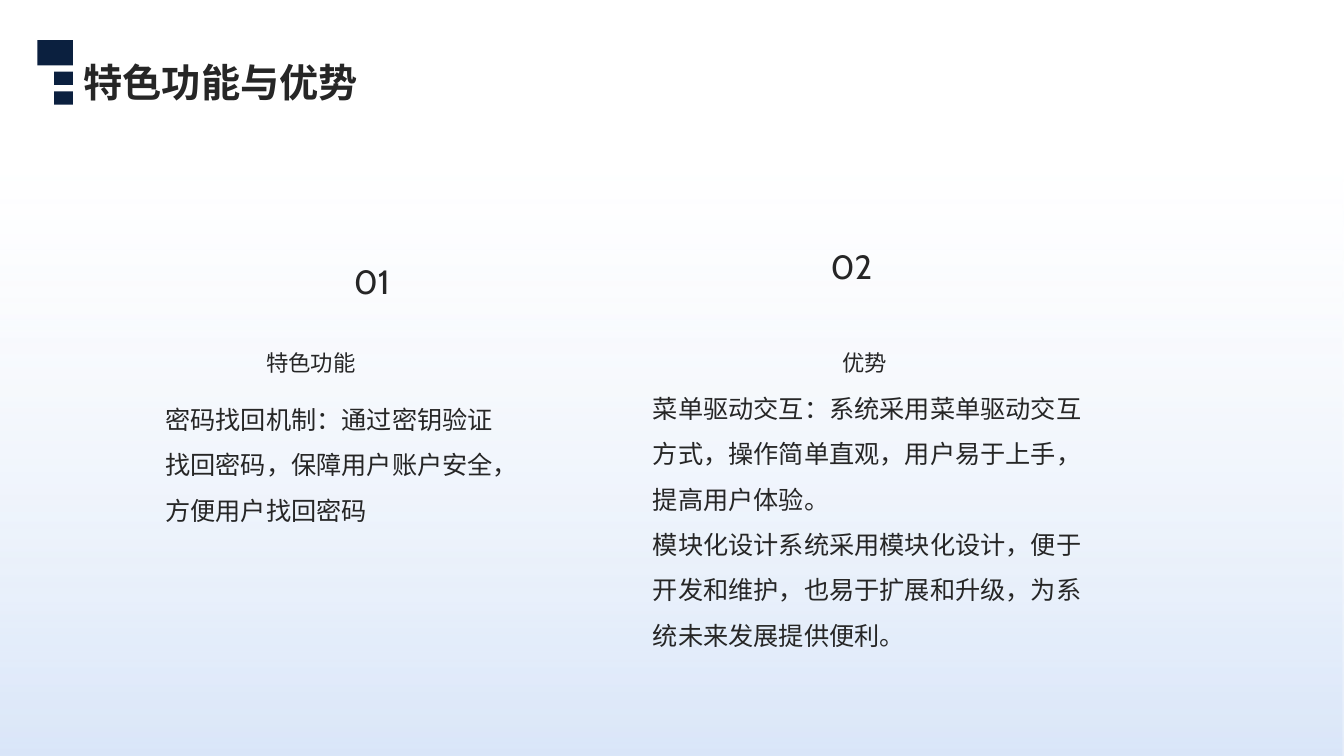
from dataclasses import dataclass

from lxml.etree import SubElement
from pptx import Presentation
from pptx.dml.color import RGBColor
from pptx.enum.shapes import MSO_SHAPE
from pptx.enum.text import MSO_ANCHOR, MSO_AUTO_SIZE, PP_ALIGN
from pptx.oxml import parse_xml
from pptx.oxml.ns import nsdecls, qn
from pptx.shapes.autoshape import Shape
from pptx.slide import Slide
from pptx.util import Pt


@dataclass(frozen=True)
class Theme:
    text: RGBColor = RGBColor(0x26, 0x26, 0x26)
    accent: RGBColor = RGBColor(0x0B, 0x20, 0x3F)
    fade_top: str = "DAE6F9"
    fade_bottom: str = "A2C1EF"
    text_font: str = "Noto Sans CJK SC"
    number_font: str = "Cabin"
    title_size: int = 28
    number_size: int = 24
    heading_size: int = 16
    body_size: int = 18


@dataclass(frozen=True)
class Box:
    left: float
    top: float
    width: float
    height: float


@dataclass(frozen=True)
class TextStyle:
    size: int
    font: str
    bold: bool = False
    spacing: float = 1.0
    align: PP_ALIGN = PP_ALIGN.LEFT
    anchor: MSO_ANCHOR = MSO_ANCHOR.MIDDLE


@dataclass(frozen=True)
class Column:
    number: str
    number_box: Box
    heading: str
    heading_box: Box
    heading_align: PP_ALIGN
    body: tuple[str, ...]
    body_box: Box
    heading_idx: int
    body_idx: int


THEME = Theme()
SLIDE = Box(0, 0, 960, 540)
TITLE = "特色功能与优势"
TITLE_BOX = Box(59.8, 38.2, 855.4, 36.7)
MARK_RIGHT = 52
MARK_BLOCKS = (  # top, width, height; all share the right edge
    (28.6, 25.3, 18.2),
    (51.1, 13.4, 9.5),
    (65.3, 13.4, 9.5),
)
COLUMNS = (
    Column(
        "01", Box(252.7, 167.8, 109.4, 65.5),
        "特色功能", Box(190.1, 238.3, 172.1, 41.8), PP_ALIGN.LEFT,
        ("密码找回机制：通过密钥验证找回密码，保障用户账户安全，方便用户找回密码",),
        Box(118.1, 277.9, 236.9, 110.2), 1, 2,
    ),
    Column(
        "02", Box(593.3, 157, 109.4, 65.5),
        "优势", Box(531.4, 238.3, 172.1, 41.8), PP_ALIGN.CENTER,
        (
            "菜单驱动交互：系统采用菜单驱动交互方式，操作简单直观，用户易于上手，提高用户体验。",
            "模块化设计系统采用模块化设计，便于开发和维护，也易于扩展和升级，为系统未来发展提供便利。",
        ),
        Box(466.3, 270, 313.2, 223.2), 3, 4,
    ),
)


def set_all(target: object, values: dict[str, object]) -> None:
    for key, value in values.items():
        setattr(target, key, value)


def lengths(box: Box) -> tuple[Pt, Pt, Pt, Pt]:
    return Pt(box.left), Pt(box.top), Pt(box.width), Pt(box.height)


def write_text(shape: Shape, box: Box, lines: tuple[str, ...], style: TextStyle) -> None:
    """Place the shape and fill it with unbulleted, zero-inset paragraphs."""
    set_all(shape, dict(zip(("left", "top", "width", "height"), lengths(box))))
    frame = shape.text_frame
    set_all(frame, {
        "word_wrap": True,
        "auto_size": MSO_AUTO_SIZE.NONE,
        "vertical_anchor": style.anchor,
        "margin_left": 0,
        "margin_top": 0,
        "margin_right": 0,
        "margin_bottom": 0,
    })
    for index, line in enumerate(lines):
        paragraph = frame.add_paragraph() if index else frame.paragraphs[0]
        set_all(paragraph, {
            "alignment": style.align,
            "line_spacing": style.spacing,
            "space_before": Pt(0),
            "space_after": Pt(0),
        })
        properties = paragraph._p.get_or_add_pPr()
        properties.set("marL", "0")
        properties.set("indent", "0")
        SubElement(properties, qn("a:buNone"))
        run = paragraph.add_run()
        run.text = line
        set_all(run.font, {"size": Pt(style.size), "name": style.font, "bold": style.bold})
        run.font.color.rgb = THEME.text
        SubElement(run._r.get_or_add_rPr(), qn("a:ea")).set("typeface", style.font)


def add_block(slide: Slide, box: Box) -> Shape:
    block = slide.shapes.add_shape(MSO_SHAPE.RECTANGLE, *lengths(box))
    block.shadow.inherit = False
    block.line.fill.background()
    block.fill.solid()
    block.fill.fore_color.rgb = THEME.accent
    return block


def add_backdrop(slide: Slide) -> None:
    """Cover the slide with a downward fade, behind everything else."""
    backdrop = add_block(slide, SLIDE)
    fade = parse_xml(
        f'<a:gradFill {nsdecls("a")} rotWithShape="1"><a:gsLst>'
        f'<a:gs pos="22000"><a:srgbClr val="{THEME.fade_top}"><a:alpha val="0"/></a:srgbClr></a:gs>'
        f'<a:gs pos="100000"><a:srgbClr val="{THEME.fade_bottom}"><a:alpha val="40000"/></a:srgbClr></a:gs>'
        '</a:gsLst><a:lin ang="5400000" scaled="0"/></a:gradFill>'
    )
    properties = backdrop._element.spPr
    properties.replace(properties.find(qn("a:solidFill")), fade)
    slide.shapes._spTree.insert(2, backdrop._element)


def add_column(slide: Slide, column: Column) -> None:
    holders = {holder.placeholder_format.idx: holder for holder in slide.placeholders}
    number = slide.shapes.add_textbox(*lengths(column.number_box))
    write_text(number, column.number_box, (column.number,),
               TextStyle(THEME.number_size, THEME.number_font))
    write_text(holders[column.heading_idx], column.heading_box, (column.heading,),
               TextStyle(THEME.heading_size, THEME.text_font, align=column.heading_align))
    write_text(holders[column.body_idx], column.body_box, column.body,
               TextStyle(THEME.body_size, THEME.text_font, spacing=1.5, anchor=MSO_ANCHOR.TOP))


def main() -> None:
    presentation = Presentation()
    set_all(presentation, {"slide_width": Pt(SLIDE.width), "slide_height": Pt(SLIDE.height)})
    comparison_layout = presentation.slide_layouts[4]
    slide = presentation.slides.add_slide(comparison_layout)
    add_backdrop(slide)
    for column in COLUMNS:
        add_column(slide, column)
    for top, width, height in MARK_BLOCKS:
        add_block(slide, Box(MARK_RIGHT - width, top, width, height))
    write_text(slide.shapes.title, TITLE_BOX, (TITLE,),
               TextStyle(THEME.title_size, THEME.text_font, bold=True, spacing=1.1))
    presentation.save("out.pptx")


if __name__ == "__main__":
    main()
